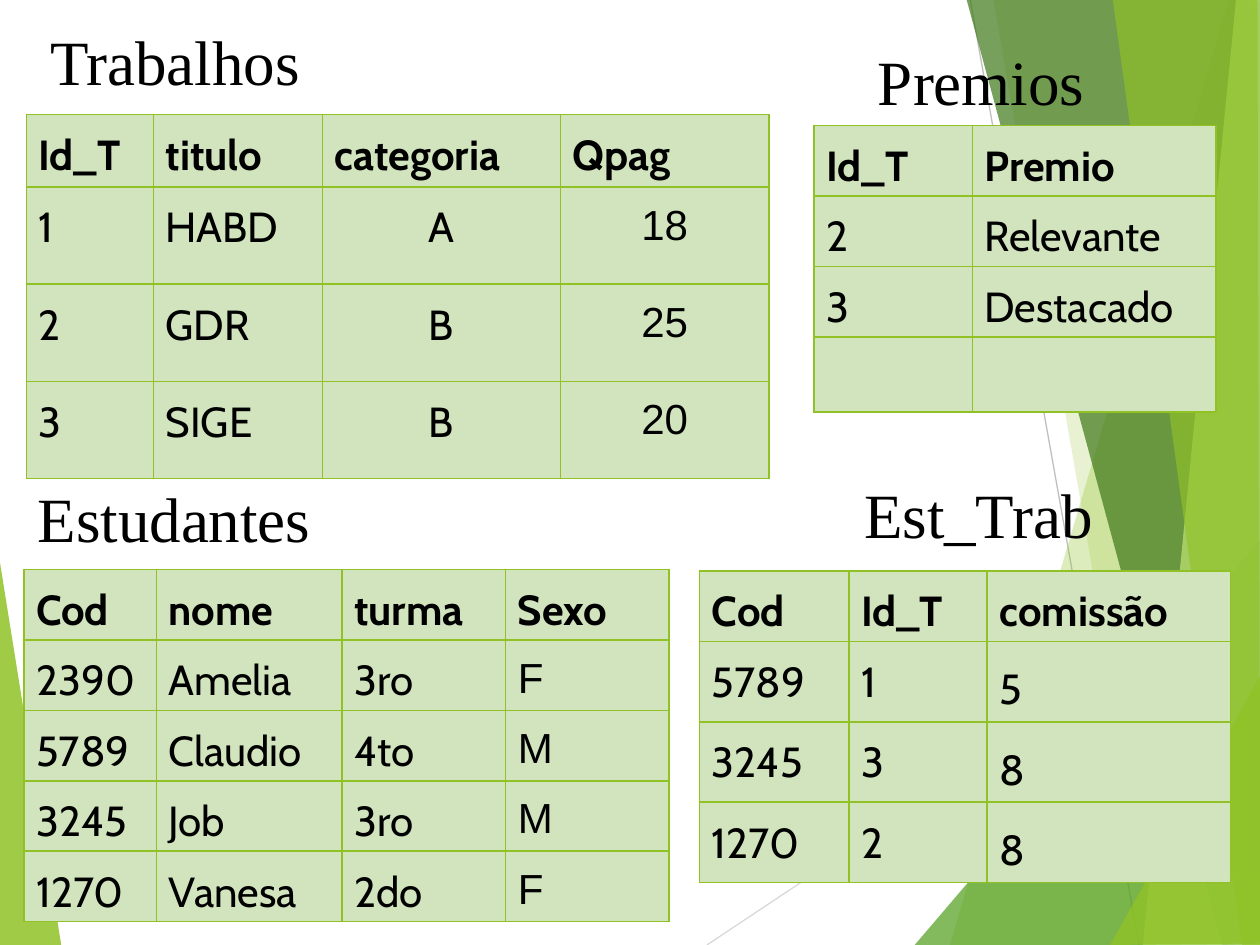
"""Build the slide with the four relational tables of a student works database."""
from dataclasses import dataclass

from lxml import etree
from pptx import Presentation
from pptx.dml.color import RGBColor
from pptx.enum import text as t
from pptx.oxml import ns
from pptx.util import Cm, Pt


@dataclass(frozen=True)
class Theme:
    lime: str = "90C226"
    green: str = "54A021"
    forest: str = "3F7819"
    pale: str = "C0E474"
    cell: str = "D2E4BE"
    ink: str = "000000"
    caption_font: str = "Times New Roman"
    body_font: str = "Cabin"
    plain_font: str = "Arial"
    caption_size: float = 36
    body_size: float = 24
    border: float = 1
    ray: float = 0.75
    tight: float = 0.81


THEME = Theme()
LEFT, CENTER = t.PP_ALIGN.LEFT, t.PP_ALIGN.CENTER


@dataclass(frozen=True)
class Facet:
    color: str
    opacity: int
    corners: tuple


@dataclass(frozen=True)
class Ray:
    start: tuple
    end: tuple
    color: str


@dataclass(frozen=True)
class Caption:
    text: str
    left: float
    top: float
    width: float
    wrap: bool = True


@dataclass(frozen=True)
class Column:
    name: str
    width: float
    values: tuple
    font: str = THEME.body_font
    align: t.PP_ALIGN = LEFT
    spacing: float = THEME.tight


@dataclass(frozen=True)
class Relation:
    caption: Caption
    left: float
    top: float
    heights: tuple
    columns: tuple


WEDGE = Facet(THEME.lime, 85, ((-0.03, 11.15), (1.24, 19.08), (-0.03, 19.05)))
RAYS = (
    Ray((14.25, 19.05), (25.43, 11.61), "D9D9D9"),
    Ray((19.56, 0), (22.96, 19.05), "BFBFBF"),
)
FACETS = (
    Facet(THEME.lime, 30, ((24.77, 0), (19.15, 19.05), (25.45, 19.08), (25.43, 0.03))),
    Facet(THEME.lime, 20, ((20.02, -0.03), (23.34, 19.05), (25.43, 19.05), (25.43, -0.03))),
    Facet(THEME.green, 72, ((18.44, 19.05), (25.4, 10.9), (25.43, 19.05))),
    Facet(THEME.forest, 70, ((19.48, -0.03), (24.64, 19.05), (25.43, 19.02), (25.43, -0.03))),
    Facet(THEME.pale, 70, ((24.92, -0.03), (23.04, 19.05), (25.43, 19.05), (25.4, -0.03))),
    Facet(THEME.lime, 65, ((22.43, -0.03), (25.04, 19.05), (25.4, 19.05), (25.35, -0.03))),
    Facet(THEME.lime, 80, ((22.38, 19.05), (25.43, 13.59), (25.43, 19.02))),
)
RELATIONS = (
    Relation(Caption("TrabalhosC", 0.76, 0.33, 6.32, wrap=False), 0.53, 2.31,
             (1.46, 1.96, 1.96, 1.96), (
        Column("Id_T", 2.56, ("1", "2", "3")),
        Column("titulo", 3.41, ("HABD", "GDR", "SIGE")),
        Column("categoria", 4.8, ("A", "B", "B"), align=CENTER),
        Column("Qpag", 4.2, ("18", "25", "20"), THEME.plain_font, CENTER),
    )),
    Relation(Caption("Estudantes", 0.51, 9.55, 7.01), 0.48, 11.48, (1.42,) * 5, (
        Column("Cod", 2.67, ("2390", "5789", "3245", "1270")),
        Column("nome", 3.74, ("Amelia", "Claudio", "Job", "Vanesa")),
        Column("turma", 3.3, ("3ro", "4to", "3ro", "2do")),
        Column("Sexo", 3.3, ("F", "M", "M", "F"), THEME.plain_font),
    )),
    Relation(Caption("Premios", 17.45, 0.74, 5.26), 16.41, 2.53,
             (1.42, 1.42, 1.42, 1.52), (
        Column("Id_T", 3.19, ("2", "3", "")),
        Column("Premio", 4.91, ("Relevante", "Destacado", "")),
    )),
    Relation(Caption("Est_Trab", 17.17, 9.47, 5.26), 14.1, 11.51,
             (1.42, 1.62, 1.62, 1.62), (
        Column("Cod", 3.01, ("5789", "3245", "1270")),
        Column("Id_T", 2.79, ("1", "3", "2")),
        Column("comissão", 4.91, ("5", "8", "8"), spacing=1),
    )),
)


def write(frame, text: str, *, font: str, size: float, bold: bool = False,
          align: t.PP_ALIGN = LEFT, spacing: float = 1) -> None:
    """Put one formatted paragraph into a text frame."""
    paragraph = frame.paragraphs[0]
    paragraph.alignment = align
    paragraph.line_spacing = spacing
    run = paragraph.add_run()
    run.text = text
    run.font.name, run.font.size, run.font.bold = font, Pt(size), bold
    run.font.color.rgb = RGBColor.from_string(THEME.ink)


def draw_facet(slide, facet: Facet) -> None:
    """Draw one translucent polygon of the backdrop."""
    first, *rest = [(Cm(x), Cm(y)) for x, y in facet.corners]
    builder = slide.shapes.build_freeform(*first)
    builder.add_line_segments(rest, close=True)
    polygon = builder.convert_to_shape()
    polygon.shadow.inherit = False
    polygon.line.fill.background()
    polygon.fill.solid()
    polygon.fill.fore_color.rgb = RGBColor.from_string(facet.color)
    tint = polygon._element.spPr.find(f"{ns.qn('a:solidFill')}/{ns.qn('a:srgbClr')}")
    etree.SubElement(tint, ns.qn("a:alpha"), val=str(facet.opacity * 1000))


def draw_ray(slide, ray: Ray) -> None:
    """Draw one thin line of the backdrop."""
    ends = [Cm(value) for value in ray.start + ray.end]
    line = slide.shapes.add_connector(1, *ends)
    line.line.color.rgb = RGBColor.from_string(ray.color)
    line.line.width = Pt(THEME.ray)
    etree.SubElement(line._element.spPr, ns.qn("a:effectLst"))


def draw_caption(slide, caption: Caption) -> None:
    """Draw the name above a table."""
    box = slide.shapes.add_textbox(
        Cm(caption.left), Cm(caption.top), Cm(caption.width), Cm(1.78))
    box.text_frame.word_wrap = caption.wrap
    write(box.text_frame, caption.text, font=THEME.caption_font, size=THEME.caption_size)


def format_cell(cell) -> None:
    """Give a cell its margins, borders and fill."""
    cell.margin_left = cell.margin_right = Cm(0.25)
    cell.margin_top, cell.margin_bottom = Cm(0.46), Cm(0.13)
    properties = cell._tc.get_or_add_tcPr()
    for side in ("lnL", "lnR", "lnT", "lnB"):
        edge = etree.SubElement(properties, ns.qn(f"a:{side}"), w=str(Pt(THEME.border)))
        paint = etree.SubElement(edge, ns.qn("a:solidFill"))
        etree.SubElement(paint, ns.qn("a:srgbClr"), val=THEME.lime)
    cell.fill.solid()
    cell.fill.fore_color.rgb = RGBColor.from_string(THEME.cell)


def draw_relation(slide, relation: Relation) -> None:
    """Draw a table with its caption."""
    draw_caption(slide, relation.caption)
    heights, columns = relation.heights, relation.columns
    table = slide.shapes.add_table(
        len(heights), len(columns), Cm(relation.left), Cm(relation.top),
        Cm(sum(column.width for column in columns)), Cm(sum(heights))).table
    table.first_row = table.horz_banding = False
    for row, height in zip(table.rows, heights):
        row.height = Cm(height)
    for c, column in enumerate(columns):
        table.columns[c].width = Cm(column.width)
        for r, value in enumerate((column.name,) + column.values):
            cell = table.cell(r, c)
            format_cell(cell)
            if r == 0:
                write(cell.text_frame, value, font=THEME.body_font, size=THEME.body_size,
                      bold=True, spacing=THEME.tight)
            elif value:
                write(cell.text_frame, value, font=column.font, size=THEME.body_size,
                      align=column.align, spacing=column.spacing)


def main() -> None:
    """Assemble and save the slide."""
    deck = Presentation()
    deck.slide_width, deck.slide_height = Cm(25.4), Cm(19.05)
    slide = deck.slides.add_slide(deck.slide_layouts[6])
    draw_facet(slide, WEDGE)
    for ray in RAYS:
        draw_ray(slide, ray)
    for facet in FACETS:
        draw_facet(slide, facet)
    for relation in RELATIONS:
        draw_relation(slide, relation)
    deck.save("out.pptx")


if __name__ == "__main__":
    main()
